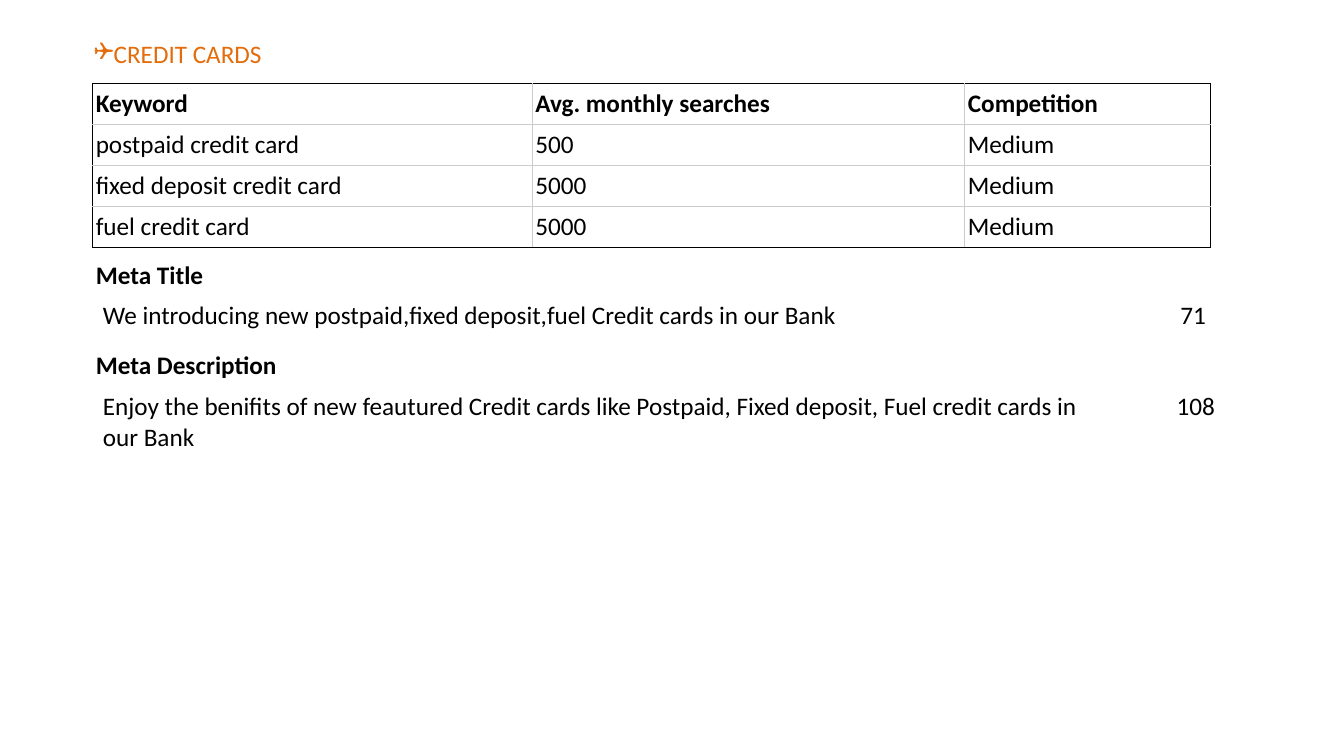
"""Build the credit cards keyword slide."""
import pptx
import pptx.util
import pptx.dml.color
import pptx.enum.text
import pptx.oxml
import pptx.oxml.ns
import lxml.etree

Inches = pptx.util.Inches
ALIGN = pptx.enum.text.PP_ALIGN
ORANGE, BLACK, GREY = "E46C0A", "000000", "CCCCCC"


def style(p, color, bold=False):
    for r in p.runs:
        r.font.name = "Calibri"
        r.font.size = pptx.util.Pt(18)
        r.font.bold = bold
        r.font.color.rgb = pptx.dml.color.RGBColor.from_string(color)


def add_sub(parent, tag, **attrs):
    return lxml.etree.SubElement(parent, pptx.oxml.ns.qn(tag), attrs)


prs = pptx.Presentation()
prs.slide_width, prs.slide_height = Inches(13.33), Inches(7.5)
s = prs.slides.add_slide(prs.slide_layouts[5])

title = s.shapes.title
title.left, title.top = Inches(0.83), Inches(0.33)
title.width, title.height = Inches(11.08), Inches(0.4)
tf = title.text_frame
tf.text = "CREDIT CARDS"
tf.vertical_anchor = pptx.enum.text.MSO_ANCHOR.TOP
tf.auto_size = pptx.enum.text.MSO_AUTO_SIZE.NONE
p = tf.paragraphs[0]
p.alignment = ALIGN.LEFT
style(p, ORANGE)
pPr = p._p.get_or_add_pPr()
pPr.set("marL", "0")
pPr.set("indent", str(-Inches(0.24)))
add_sub(add_sub(pPr, "a:buClr"), "a:srgbClr", val=ORANGE)
add_sub(pPr, "a:buFont", typeface="Wingdings")
add_sub(pPr, "a:buChar", char="❑")

keywords = [
    ["Keyword", "Avg. monthly searches", "Competition"],
    ["postpaid credit card", "500", "Medium"],
    ["fixed deposit credit card", "5000", "Medium"],
    ["fuel credit card", "5000", "Medium"],
]
meta_title = [
    ["Meta Title", "", "", ""],
    ["We introducing new postpaid,fixed deposit,fuel Credit cards in our Bank", "", "", "71"],
]
meta_description = [
    ["Meta Description"] + [""] * 6,
    ["Enjoy the benifits of new feautured Credit cards like Postpaid, Fixed deposit, "
     "Fuel credit cards in our Bank"] + [""] * 5 + ["108"],
]
tables = [
    (keywords, 0.83, [4.36, 4.29, 2.44], [0.4] * 4, True),
    (meta_title, 2.53, [9.58, 0.33, 0.33, 0.83], [0.4, 0.41], False),
    (meta_description, 3.43, [10.04, 0.1, 0.17, 0.15, 0.1, 0.1, 0.5], [0.4, 0.7], False),
]

for rows, top, widths, heights, ruled in tables:
    frame = s.shapes.add_table(len(rows), len(widths), Inches(0.92), Inches(top),
                               Inches(sum(widths)), Inches(sum(heights)))
    table = frame.table
    table.first_row = table.horz_banding = False
    for column, width in zip(table.columns, widths):
        column.width = Inches(width)
    for row, height in zip(table.rows, heights):
        row.height = Inches(height)
    last_row, last_col = len(rows) - 1, len(widths) - 1
    for i, row in enumerate(rows):
        for j, text in enumerate(row):
            cell = table.cell(i, j)
            indented = not ruled and i == 1 and j == 0
            cell.margin_left = cell.margin_right = Inches(0.1 if indented else 0.03)
            cell.margin_top = cell.margin_bottom = Inches(0.05)
            cell.text = text
            p = cell.text_frame.paragraphs[0]
            p.font.size = pptx.util.Pt(18)
            style(p, BLACK, bold=i == 0)
            if not ruled and j == last_col:
                p.alignment = ALIGN.RIGHT
            if ruled:
                outer = {"L": j == 0, "R": j == last_col, "T": i == 0, "B": i == last_row}
                for side, is_outer in outer.items():
                    ln = add_sub(cell._tc.get_or_add_tcPr(), f"a:ln{side}",
                                 w=str(pptx.util.Pt(0.75)))
                    add_sub(add_sub(ln, "a:solidFill"), "a:srgbClr",
                            val=BLACK if is_outer else GREY)
            cell.fill.background()

prs.save("out.pptx")
